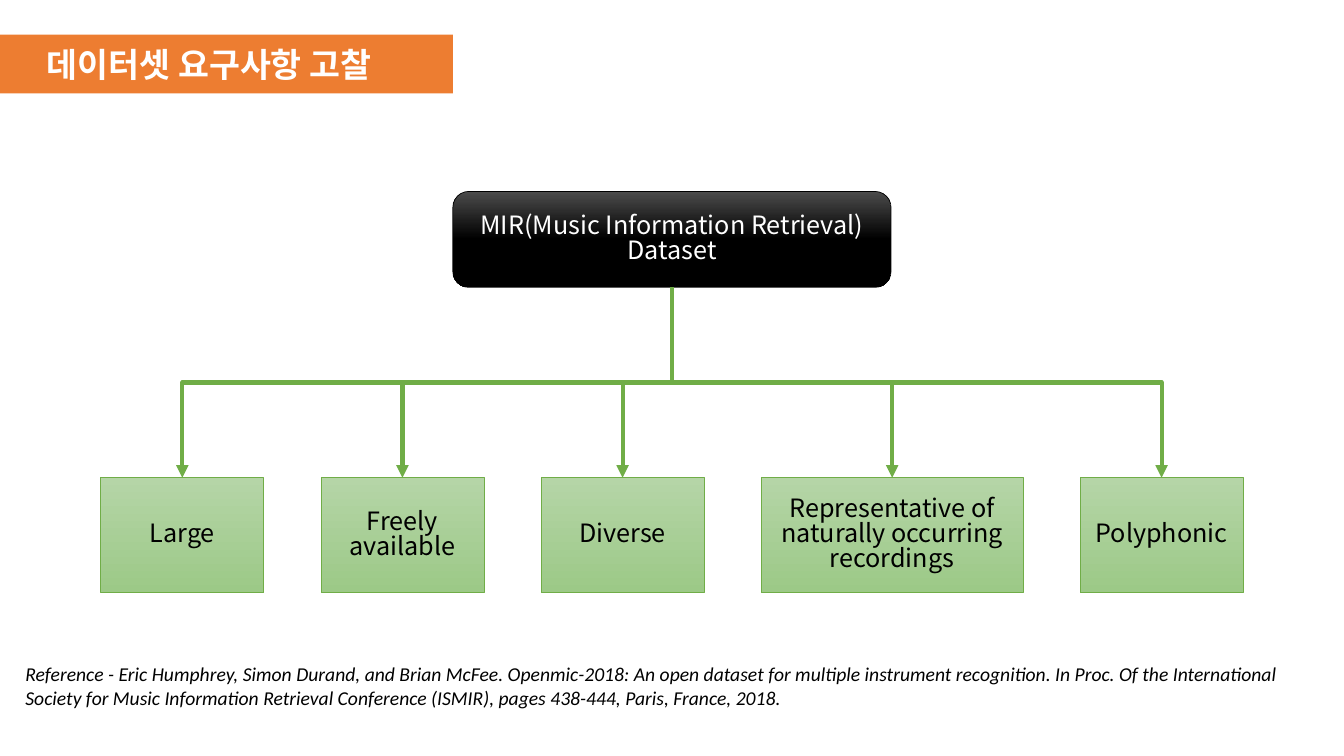
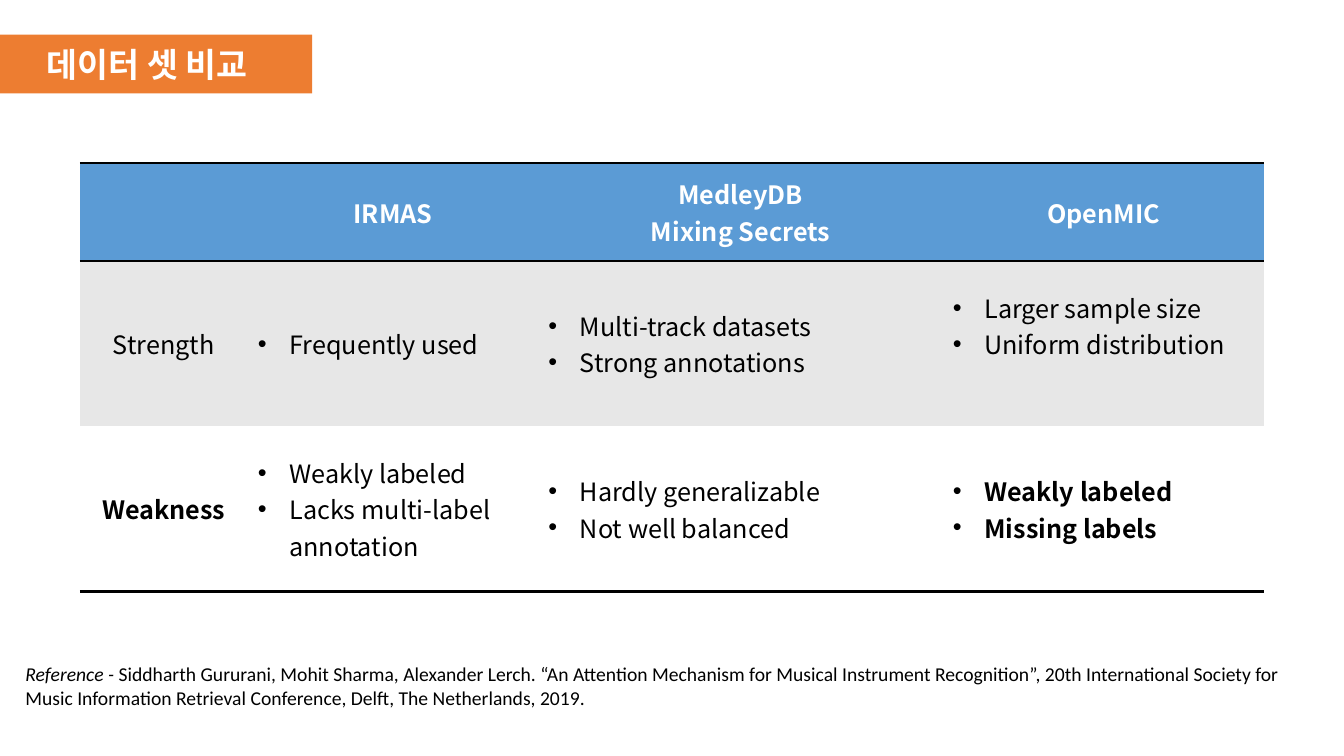
"""Build two slides on music dataset requirements and a dataset comparison."""
from lxml.etree import SubElement
from pptx import Presentation
from pptx.dml.color import RGBColor
from pptx.enum.shapes import MSO_CONNECTOR as CONN, MSO_SHAPE as SHAPE
from pptx.enum.text import MSO_ANCHOR as ANCHOR, MSO_AUTO_SIZE as AUTO, PP_ALIGN as ALIGN
from pptx.oxml.ns import qn
from pptx.util import Pt

BLACK = RGBColor(0x00, 0x00, 0x00)
WHITE = RGBColor(0xFF, 0xFF, 0xFF)
CHARCOAL = RGBColor(0x4B, 0x4B, 0x4B)
ORANGE = RGBColor(0xED, 0x7D, 0x31)
GREEN = RGBColor(0x70, 0xAD, 0x47)
LIGHT_GREEN = RGBColor(0xB5, 0xD5, 0xA7)
MID_GREEN = RGBColor(0x9C, 0xC9, 0x87)
BLUE = RGBColor(0x5B, 0x9B, 0xD5)
GREY = RGBColor(0xE7, 0xE7, 0xE7)
SANS = "Noto Sans CJK KR"
NO_STYLE = "{2D5ABB26-0587-4C30-8999-92F81FD0307C}"


def add_run(p, text, size, color, font=SANS, bold=False, italic=False):
    r = p.add_run()
    r.text = text
    r.font.size, r.font.name = Pt(size), font
    r.font.bold, r.font.italic = bold, italic
    r.font.color.rgb = color
    SubElement(r.font._element, qn("a:ea"), typeface=font)


def add_box(s, kind, x, y, w, h, lines, stops, line, color):
    sp = s.shapes.add_shape(kind, Pt(x), Pt(y), Pt(w), Pt(h))
    sp.shadow.inherit = False
    sp.fill.gradient()
    sp.fill.gradient_angle = 270
    for stop, (pos, rgb) in zip(sp.fill.gradient_stops, stops):
        stop.position, stop.color.rgb = pos, rgb
    sp.line.color.rgb, sp.line.width = line, Pt(0.5)
    tf = sp.text_frame
    tf.word_wrap, tf.vertical_anchor = True, ANCHOR.MIDDLE
    for i, text in enumerate(lines):
        p = tf.add_paragraph() if i else tf.paragraphs[0]
        p.alignment, p.line_spacing = ALIGN.CENTER, 0.82
        add_run(p, text, 18, color)
    return sp


prs = Presentation()
prs.slide_width, prs.slide_height = Pt(960), Pt(540)

pages = [
    ("데이터셋 요구사항 고찰", 323.5, [
        ("Reference - Eric Humphrey, Simon Durand, and Brian McFee. Openmic-2018: "
         "An open dataset for multiple instrument recognition. In Proc. Of the "
         "International Society for Music Information Retrieval Conference (ISMIR), "
         "pages 438-444, Paris, France, 2018.", True)]),
    ("데이터 셋 비교", 223, [
        ("Reference - ", True),
        ("Siddharth Gururani, Mohit Sharma, Alexander Lerch. “An Attention Mechanism "
         "for Musical Instrument Recognition”, 20th International Society for Music "
         "Information Retrieval Conference, Delft, The Netherlands, 2019.", False)]),
]
slides = []
for title, width, reference in pages:
    s = prs.slides.add_slide(prs.slide_layouts[5])
    slides.append(s)
    sp = s.shapes.title
    sp.left, sp.top, sp.width, sp.height = Pt(0), Pt(24.75), Pt(width), Pt(42)
    sp.fill.solid()
    sp.fill.fore_color.rgb = ORANGE
    tf = sp.text_frame
    tf.auto_size, tf.word_wrap, tf.vertical_anchor = AUTO.NONE, True, ANCHOR.MIDDLE
    tf.margin_left = Pt(33.5)
    p = tf.paragraphs[0]
    p.alignment = ALIGN.LEFT
    add_run(p, title, 24, WHITE, bold=True)

    tf = s.shapes.add_textbox(Pt(11), Pt(469.5), Pt(938), Pt(41)).text_frame
    tf.word_wrap = True
    for text, italic in reference:
        add_run(tf.paragraphs[0], text, 14, BLACK, "Calibri", italic=italic)

requirements, comparison = slides

root = add_box(requirements, SHAPE.ROUNDED_RECTANGLE, 323.5, 136.75, 313, 68.5,
               ["MIR(Music Information Retrieval)", "Dataset"],
               [(0, CHARCOAL), (0.5, BLACK)], BLACK, WHITE)
top, bottom, center, gap = 341.25, 205.25, 480, 40.75
x = 72
for text, w in [("Large", 116.5), ("Freely available", 116.5), ("Diverse", 116.5),
                ("Representative of naturally occurring recordings", 187),
                ("Polyphonic", 116.5)]:
    box = add_box(requirements, SHAPE.RECTANGLE, x, top, w, 82, [text],
                  [(0, LIGHT_GREEN), (1, MID_GREEN)], GREEN, BLACK)
    target, drop = x + w / 2, top - bottom
    span = abs(target - center)
    c = requirements.shapes.add_connector(CONN.ELBOW, Pt(center), Pt(bottom), Pt(target), Pt(top))
    c.begin_connect(root, 2)
    c.end_connect(box, 0)
    c.left, c.top = Pt((center + target - drop) / 2), Pt((bottom + top - span) / 2)
    c.width, c.height = Pt(drop), Pt(span)
    xfrm = c._element.spPr.find(qn("a:xfrm"))
    xfrm.set("rot", "16200000" if target > center else "5400000")
    xfrm.set("flipH", "1" if target > center else "0")
    c.line.color.rgb, c.line.width = GREEN, Pt(3)
    SubElement(c.line._get_or_add_ln(), qn("a:tailEnd"), type="triangle")
    SubElement(c._element.spPr, qn("a:effectLst"))
    x += w + gap

rows = [
    (70, BLUE, [[], ["IRMAS"], ["MedleyDB", "Mixing Secrets"], ["OpenMIC"]]),
    (118, GREY, [["Strength"], ["Frequently used"],
                 ["Multi-track datasets", "Strong annotations"],
                 ["Larger sample size", "Uniform distribution"]]),
    (118, WHITE, [["Weakness"], ["Weakly labeled", "Lacks multi-label annotation"],
                  ["Hardly generalizable", "Not well balanced"],
                  ["Weakly labeled", "Missing labels"]]),
]
bold_cells = {(0, 1), (0, 2), (0, 3), (2, 0), (2, 3)}
borders = [("a:lnT", "a:lnB"), (), ("a:lnB",)]
frame = comparison.shapes.add_table(3, 4, Pt(57), Pt(116.5), Pt(846), Pt(306))
table = frame.table
table.horz_banding = False
table._tbl.tblPr.find(qn("a:tableStyleId")).text = NO_STYLE
for col, w in zip(table.columns, [120, 207.5, 289, 229.5]):
    col.width = Pt(w)
for i, (height, fill, texts) in enumerate(rows):
    table.rows[i].height = Pt(height)
    for j, lines in enumerate(texts):
        cell = table.cell(i, j)
        cell.vertical_anchor = ANCHOR.MIDDLE
        for side in borders[i]:
            ln = SubElement(cell._tc.get_or_add_tcPr(), qn(side), w=str(Pt(2)))
            SubElement(SubElement(ln, qn("a:solidFill")), qn("a:srgbClr"), val=str(BLACK))
        cell.fill.solid()
        cell.fill.fore_color.rgb = fill
        tf = cell.text_frame
        for k, text in enumerate(lines):
            p = tf.add_paragraph() if k else tf.paragraphs[0]
            if i and j:
                pPr = p._p.get_or_add_pPr()
                pPr.set("marL", str(Pt(22.5)))
                pPr.set("indent", str(-Pt(22.5)))
                SubElement(pPr, qn("a:buFont"), typeface="Arial")
                SubElement(pPr, qn("a:buChar"), char="•")
            else:
                p.alignment = ALIGN.CENTER
            add_run(p, text, 18, BLACK if i else WHITE, bold=(i, j) in bold_cells)
table.cell(1, 3).margin_bottom = Pt(29.5)

prs.save("out.pptx")
